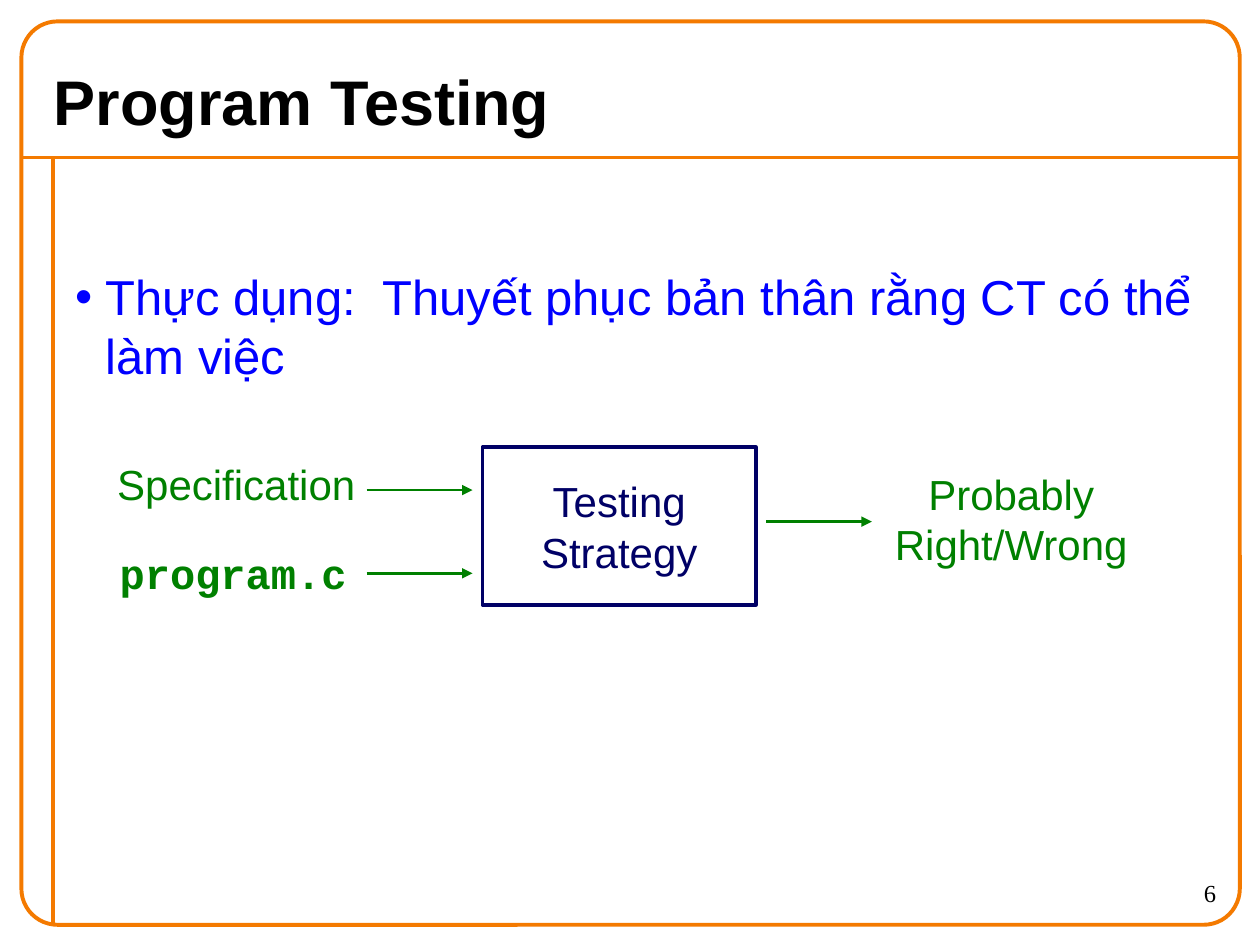
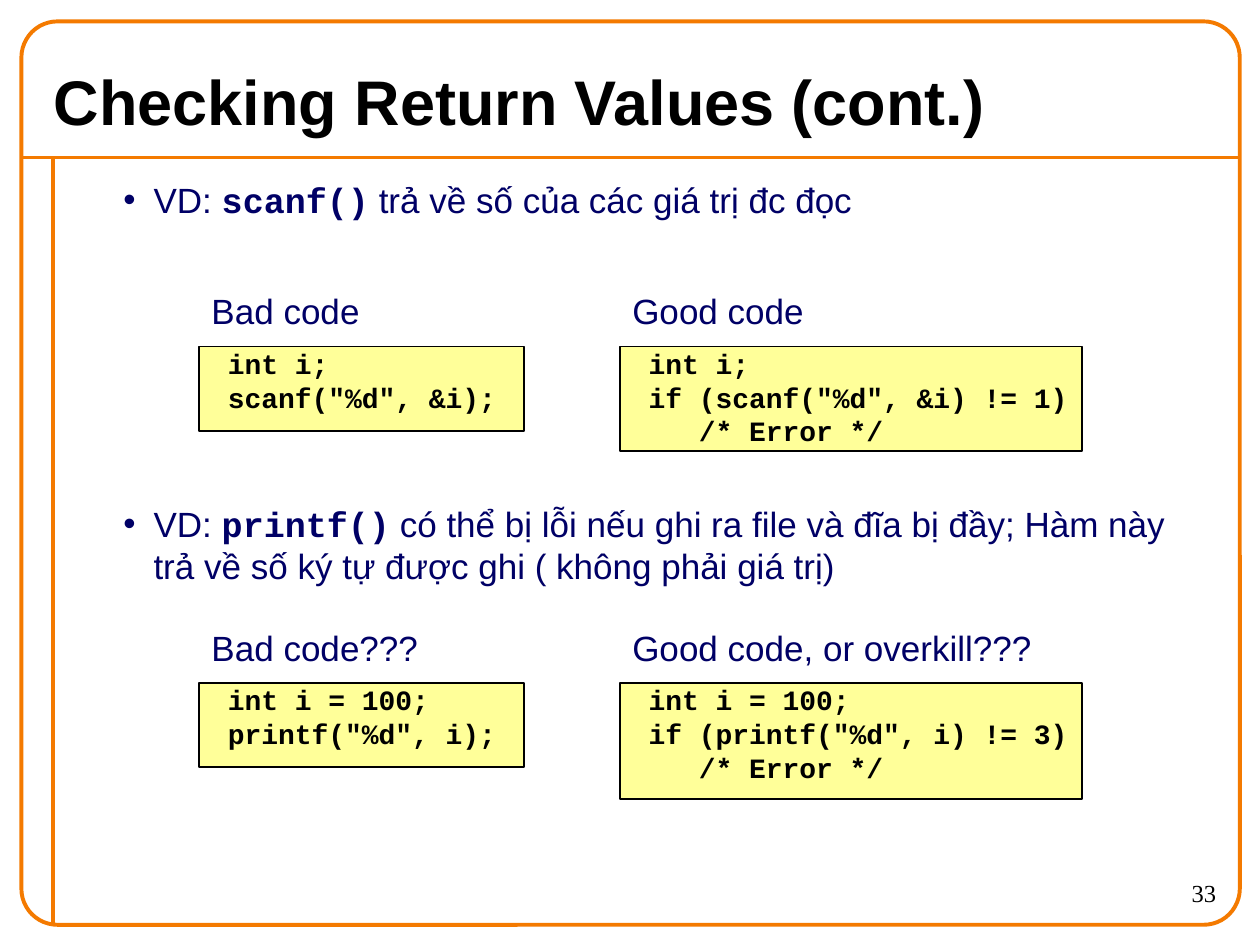
from lxml.etree import SubElement
from pptx import Presentation
from pptx.dml.color import RGBColor
from pptx.enum.shapes import MSO_CONNECTOR, MSO_SHAPE
from pptx.enum.text import MSO_ANCHOR, PP_ALIGN
from pptx.oxml.ns import qn
from pptx.util import Inches, Pt

ORANGE = RGBColor(0xF4, 0x7A, 0x00)
BLACK = RGBColor(0x00, 0x00, 0x00)
BLUE = RGBColor(0x00, 0x00, 0xFF)
NAVY = RGBColor(0x00, 0x00, 0x66)
GREEN = RGBColor(0x00, 0x80, 0x00)
YELLOW = RGBColor(0xFF, 0xFF, 0x99)

SANS = "Arial"
MONO = "Courier New"
SERIF = "Times New Roman"


def style_run(run, size, color, font=SANS, bold=False):
    """Set the size, colour, typeface and weight of a run."""
    run.font.size = Pt(size)
    run.font.color.rgb = color
    run.font.name = font
    run.font.bold = bold


def fill_text(frame, lines, size, color, font=SANS, bold=False,
              align=PP_ALIGN.LEFT, anchor=MSO_ANCHOR.TOP, wrap=True):
    """Write one styled paragraph for each line."""
    frame.word_wrap = wrap
    frame.vertical_anchor = anchor
    for number, line in enumerate(lines):
        paragraph = frame.add_paragraph() if number else frame.paragraphs[0]
        paragraph.text = line
        paragraph.alignment = align
        style_run(paragraph.runs[0], size, color, font, bold)


def add_label(slide, left, top, width, height, lines, size, color, **style):
    """Add a text box with one style throughout."""
    label = slide.shapes.add_textbox(
        Inches(left), Inches(top), Inches(width), Inches(height))
    fill_text(label.text_frame, lines, size, color, **style)


def add_panel(slide, left, top, width, height, line_color, line_width,
              fill=None, preset=MSO_SHAPE.RECTANGLE):
    """Add an outlined shape, hollow unless a fill is given."""
    panel = slide.shapes.add_shape(
        preset, Inches(left), Inches(top), Inches(width), Inches(height))
    panel.shadow.inherit = False
    panel.line.color.rgb = line_color
    panel.line.width = Pt(line_width)
    if fill is None:
        panel.fill.background()
    else:
        panel.fill.solid()
        panel.fill.fore_color.rgb = fill
    return panel


def add_rule(slide, x1, y1, x2, y2, color, width, arrow=False):
    """Add a straight line, with an arrowhead at its end if asked."""
    rule = slide.shapes.add_connector(
        MSO_CONNECTOR.STRAIGHT, Inches(x1), Inches(y1), Inches(x2), Inches(y2))
    rule.line.color.rgb = color
    rule.line.width = Pt(width)
    if arrow:
        SubElement(rule.line._get_or_add_ln(), qn("a:tailEnd"), type="triangle")
    SubElement(rule._element.spPr, qn("a:effectLst"))


def add_bullet(slide, left, top, width, height, parts, size, color, margin):
    """Add a bulleted paragraph made of (text, font) parts."""
    box = slide.shapes.add_textbox(
        Inches(left), Inches(top), Inches(width), Inches(height))
    box.text_frame.word_wrap = True
    paragraph = box.text_frame.paragraphs[0]
    properties = paragraph._p.get_or_add_pPr()
    properties.set("marL", str(Inches(margin)))
    properties.set("indent", str(Inches(-0.24)))
    SubElement(properties, qn("a:buFont"), typeface=SANS)
    SubElement(properties, qn("a:buChar"), char="•")
    for text, font in parts:
        run = paragraph.add_run()
        run.text = text
        style_run(run, size, color, font, bold=font == MONO)


def add_framed_slide(deck, title, number):
    """Add a slide with the orange frame, title and page number."""
    slide = deck.slides.add_slide(deck.slide_layouts[6])
    add_rule(slide, 0.17, 1.25, 9.83, 1.25, ORANGE, 2.25)
    add_rule(slide, 0.42, 1.25, 0.42, 7.33, ORANGE, 2.25)
    frame = add_panel(slide, 0.17, 0.17, 9.67, 7.17, ORANGE, 2.25,
                      preset=MSO_SHAPE.ROUNDED_RECTANGLE)
    frame.adjustments[0] = 0.04
    add_label(slide, 0.33, 0.42, 9.33, 0.75, [title], 36, BLACK,
              bold=True, anchor=MSO_ANCHOR.MIDDLE)
    add_label(slide, 8.75, 6.92, 1, 0.42, [str(number)], 14, BLACK,
              font=SERIF, align=PP_ALIGN.RIGHT)
    return slide


def draw_testing_flow(slide, left, top):
    """Draw the two inputs, the strategy box and the verdict."""
    centred = {"align": PP_ALIGN.CENTER, "wrap": False}
    strategy = add_panel(slide, left + 3, top, 2.17, 1.25, NAVY, 2.25)
    fill_text(strategy.text_frame, ["Testing", "Strategy"], 24, NAVY,
              anchor=MSO_ANCHOR.MIDDLE, **centred)
    add_label(slide, left, top + 0.04, 2.09, 0.5, ["Specification"], 24, GREEN,
              **centred)
    add_label(slide, left + 0.02, top + 0.75, 2, 0.5, ["program.c"], 24, GREEN,
              font=MONO, bold=True, **centred)
    add_label(slide, left + 6.17, top + 0.12, 2.05, 0.9,
              ["Probably", "Right/Wrong"], 24, GREEN, **centred)
    for x, y in [(2.08, 0.34), (2.08, 1), (5.25, 0.59)]:
        add_rule(slide, left + x, top + y, left + x + 0.84, top + y,
                 GREEN, 1.5, arrow=True)


def draw_code_sample(slide, left, top, width, height, caption, code):
    """Draw a caption with a yellow code box half an inch below."""
    add_label(slide, left, top, width, 0.44, [caption], 20, NAVY)
    listing = add_panel(slide, left, top + 0.5, width, height, BLACK, 1, YELLOW)
    fill_text(listing.text_frame, code, 16, BLACK, font=MONO, bold=True,
              wrap=False)
    listing.text_frame.margin_top = 0
    for paragraph in listing.text_frame.paragraphs:
        paragraph._p.get_or_add_pPr().set("marL", str(Inches(0.13)))


def draw_comparison(slide, left, top, bad, good, good_height):
    """Draw a bad and a good code sample side by side."""
    draw_code_sample(slide, left, top, 2.58, 0.67, *bad)
    draw_code_sample(slide, left + 3.34, top, 3.67, good_height, *good)


def build_program_testing(deck):
    """Build the slide on what testing can show."""
    slide = add_framed_slide(deck, "Program Testing", 6)
    goal = "Thực dụng:  Thuyết phục bản thân rằng CT có thể làm việc"
    add_bullet(slide, 0.5, 2.07, 9.25, 1.1, [(goal, SANS)], 28, BLUE, 0.24)
    draw_testing_flow(slide, 0.83, 3.55)


def build_return_values(deck):
    """Build the slide on checking scanf and printf results."""
    slide = add_framed_slide(deck, "Checking Return Values (cont.)", 33)
    scanf_note = [("VD: ", SANS), ("scanf()", MONO),
                  (" trả về số của các giá trị đc đọc", SANS)]
    printf_note = [("VD: ", SANS), ("printf()", MONO),
                   (" có thể bị lỗi nếu ghi ra file và đĩa bị đầy; Hàm này "
                    "trả về số ký tự được ghi ( không phải giá trị)", SANS)]
    for top, note in [(1.37, scanf_note), (3.94, printf_note)]:
        add_bullet(slide, 0.5, top, 9.25, 0.8, note, 20, NAVY, 0.62)
    draw_comparison(
        slide, 1.58, 2.25,
        ("Bad code", ["int i;", 'scanf("%d", &i);']),
        ("Good code",
         ["int i;", 'if (scanf("%d", &i) != 1)', "   /* Error */"]), 0.83)
    draw_comparison(
        slide, 1.58, 4.92,
        ("Bad code???", ["int i = 100;", 'printf("%d", i);']),
        ("Good code, or overkill???",
         ["int i = 100;", 'if (printf("%d", i) != 3)', "   /* Error */"]), 0.92)


def main():
    """Build the deck and save it."""
    deck = Presentation()
    deck.slide_width = Inches(10)
    deck.slide_height = Inches(7.5)
    build_program_testing(deck)
    build_return_values(deck)
    deck.save("out.pptx")


if __name__ == "__main__":
    main()
